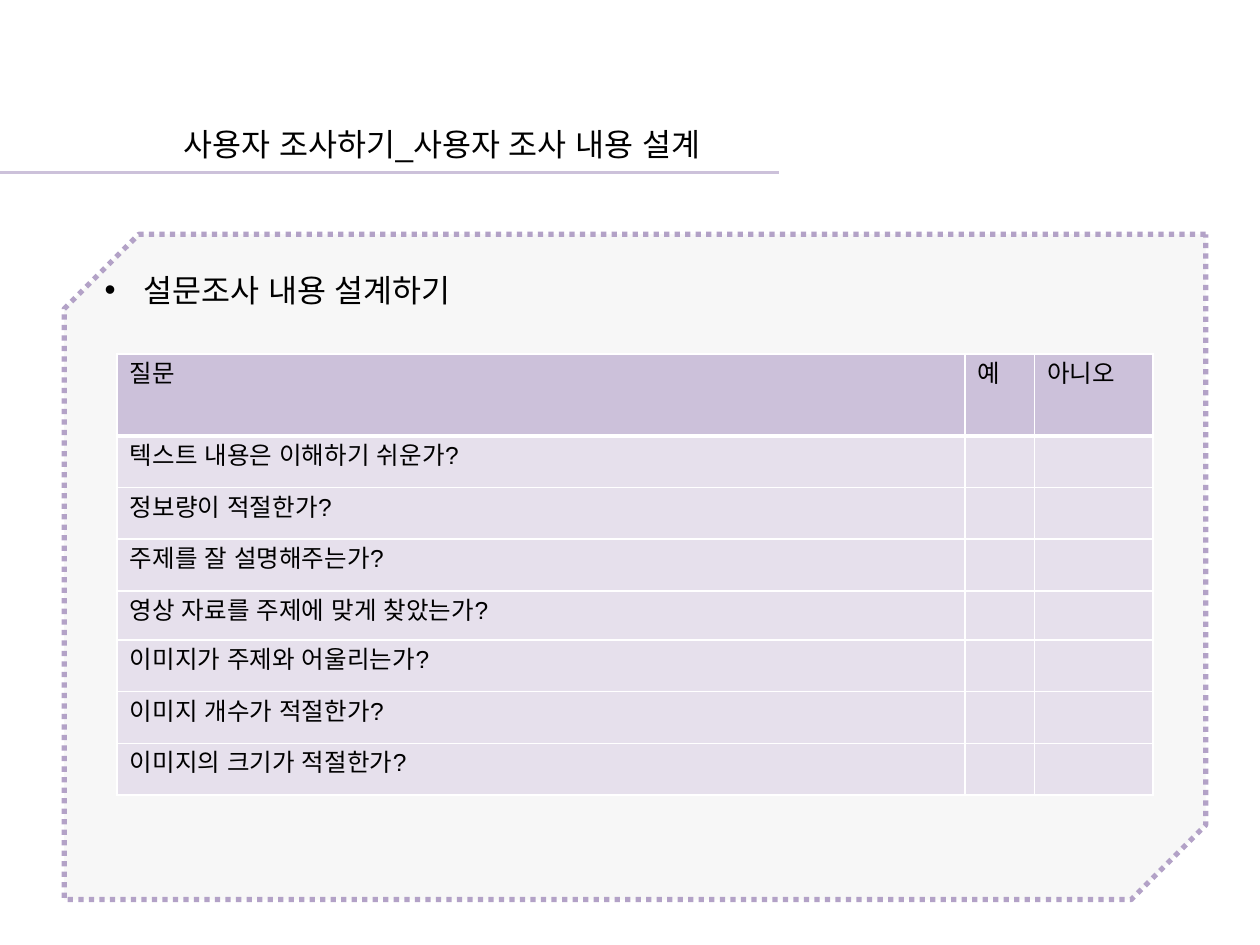
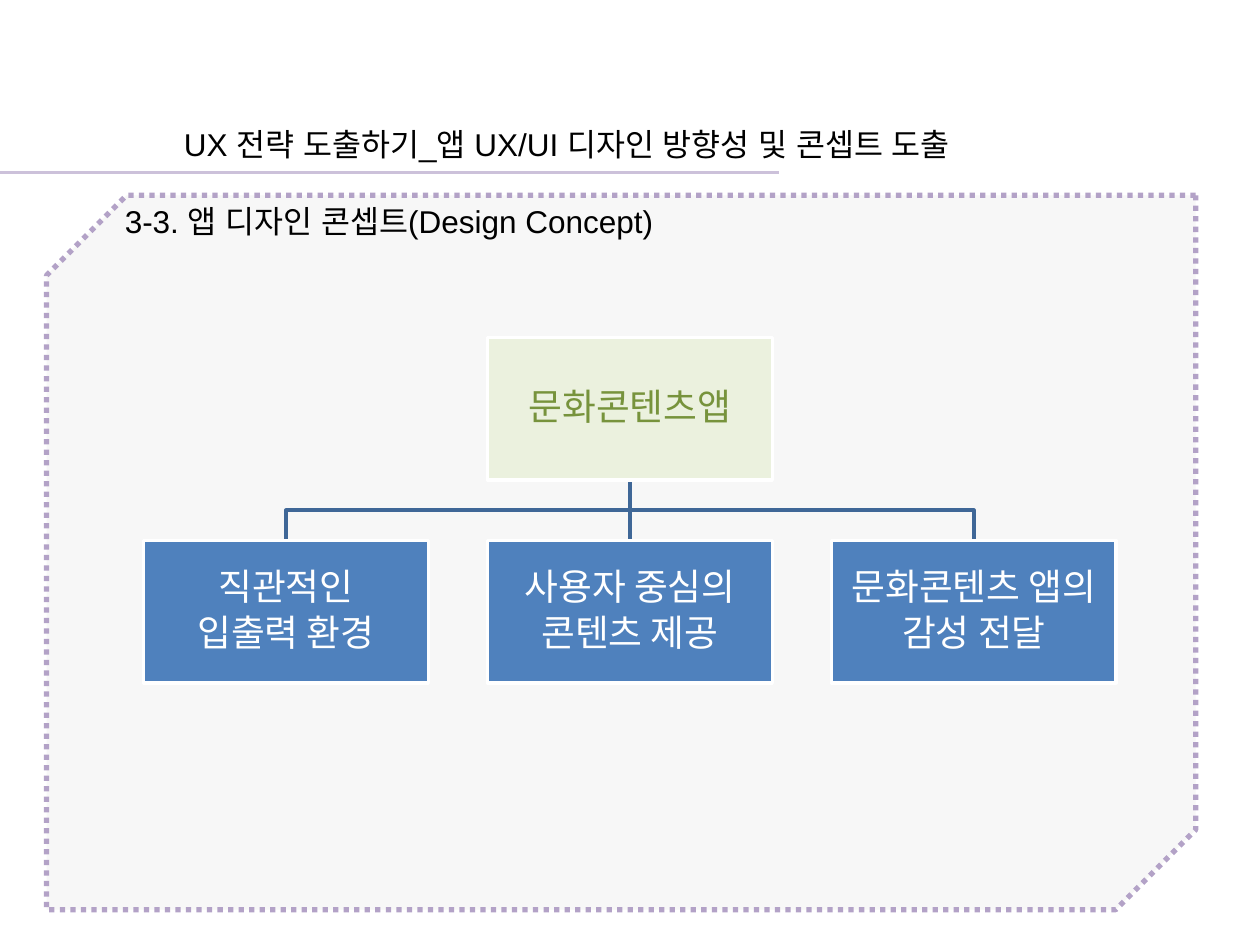
import pptx
import pptx.util
import pptx.dml.color
import pptx.enum.dml
import pptx.enum.shapes
import pptx.enum.text
import pptx.oxml
import pptx.oxml.ns
import lxml.etree

RGBColor = pptx.dml.color.RGBColor
BLACK = RGBColor(0x00, 0x00, 0x00)
WHITE = RGBColor(0xFF, 0xFF, 0xFF)
LILAC = RGBColor(0xCC, 0xC1, 0xDA)
PALE_LILAC = RGBColor(0xE6, 0xE0, 0xEC)
PURPLE = RGBColor(0xB3, 0xA2, 0xC7)
PANEL_GREY = RGBColor(0xF2, 0xF2, 0xF2)
BLUE = RGBColor(0x4F, 0x81, 0xBD)
BRANCH_BLUE = RGBColor(0x3F, 0x67, 0x97)
PALE_GREEN = RGBColor(0xEB, 0xF1, 0xDE)
GREEN = RGBColor(0x77, 0x93, 0x3C)
LATIN_FONT = "Arial"
KOREAN_FONT = "Noto Sans CJK KR"
EMU_PER_PX = 9144
ALIGN = pptx.enum.text.PP_ALIGN
ANCHOR = pptx.enum.text.MSO_ANCHOR
SHAPE = pptx.enum.shapes.MSO_SHAPE
STRAIGHT = pptx.enum.shapes.MSO_CONNECTOR.STRAIGHT
qn = pptx.oxml.ns.qn


def emu(*pixels):
    return [pptx.util.Emu(px * EMU_PER_PX) for px in pixels]


def write(frame, text, size=18, font=LATIN_FONT, color=BLACK, align=ALIGN.LEFT,
          anchor=ANCHOR.TOP, wrap=True, bullet=None, indent=0, line_spacing=1, after=0):
    frame.auto_size = pptx.enum.text.MSO_AUTO_SIZE.NONE
    frame.word_wrap = wrap
    frame.vertical_anchor = anchor
    for index, line in enumerate(text.split("\n")):
        paragraph = frame.add_paragraph() if index else frame.paragraphs[0]
        properties = paragraph._p.get_or_add_pPr()
        properties.set("marL", str(indent * EMU_PER_PX))
        properties.set("indent", str(-indent * EMU_PER_PX))
        if bullet:
            lxml.etree.SubElement(properties, qn("a:buChar")).set("char", bullet)
        else:
            lxml.etree.SubElement(properties, qn("a:buNone"))
        paragraph.alignment = align
        paragraph.line_spacing = line_spacing
        paragraph.space_before = pptx.util.Pt(0)
        paragraph.space_after = pptx.util.Pt(after)
        run = paragraph.add_run()
        run.text = line
        run.font.size = pptx.util.Pt(size)
        run.font.name = font
        run.font.color.rgb = color
        east_asian = lxml.etree.SubElement(run._r.get_or_add_rPr(), qn("a:ea"))
        east_asian.set("typeface", font)


deck = pptx.Presentation()
deck.slide_width, deck.slide_height = emu(1000, 750)

pages = [
    ("사용자 조사하기_사용자 조사 내용 설계", 471, (51, 186, 906, 528),
     "설문조사 내용 설계하기", (73, 210, 876, 60), {"bullet": "•", "indent": 31}),
    ("UX 전략 도출하기_앱 UX/UI 디자인 방향성 및 콘셉트 도출", 683, (37, 155, 912, 567),
     "3-3. 앱 디자인 콘셉트(Design Concept)", (89, 155, 876, 40), {}),
]
slides = []
for title, title_width, panel_box, heading, heading_box, heading_format in pages:
    slide = deck.slides.add_slide(deck.slide_layouts[1])
    slides.append(slide)
    title_holder, heading_holder = slide.placeholders
    for holder, place in ((title_holder, (136, 94, title_width, 40)),
                          (heading_holder, heading_box)):
        holder.left, holder.top, holder.width, holder.height = emu(*place)
    write(title_holder.text_frame, title, wrap=False)
    write(heading_holder.text_frame, heading, **heading_format)

    panel = slide.shapes.add_shape(SHAPE.SNIP_2_DIAG_RECTANGLE, *emu(*panel_box))
    panel.adjustments[0] = 0
    panel.adjustments[1] = 0.112
    panel.shadow.inherit = False
    panel._element.spPr.find(qn("a:xfrm")).set("flipH", "1")
    panel.fill.solid()
    panel.fill.fore_color.rgb = PANEL_GREY
    grey = panel._element.spPr.find(qn("a:solidFill"))[0]
    lxml.etree.SubElement(grey, qn("a:alpha")).set("val", "60000")
    panel.line.color.rgb = PURPLE
    panel.line.width = pptx.util.Pt(3)
    panel.line.dash_style = pptx.enum.dml.MSO_LINE.ROUND_DOT
    slide.shapes._spTree.insert(2, panel._element)

    title_rule = slide.shapes.add_connector(STRAIGHT, *emu(0, 137, 618, 137))
    title_rule.line.color.rgb = LILAC
    title_rule.line.width = pptx.util.Pt(1.5)
    lxml.etree.SubElement(title_rule._element.spPr, qn("a:effectLst"))

survey_slide, concept_slide = slides

survey_rows = [
    ("질문", "예", "아니오"),
    ("텍스트 내용은 이해하기 쉬운가?", "", ""),
    ("정보량이 적절한가?", "", ""),
    ("주제를 잘 설명해주는가?", "", ""),
    ("영상 자료를 주제에 맞게 찾았는가?", "", ""),
    ("이미지가 주제와 어울리는가?", "", ""),
    ("이미지 개수가 적절한가?", "", ""),
    ("이미지의 크기가 적절한가?", "", ""),
]
survey = survey_slide.shapes.add_table(len(survey_rows), 3, *emu(93, 281, 822, 352)).table
survey.first_row = False
survey.horz_banding = False
for column, width in zip(survey.columns, emu(673, 55, 94)):
    column.width = width
for row, height in zip(survey.rows, emu(65, 41, 41, 41, 39, 41, 41, 41)):
    row.height = height
for row_index, answers in enumerate(survey_rows):
    for column_index, answer in enumerate(answers):
        cell = survey.cell(row_index, column_index)
        write(cell.text_frame, answer, size=14)
        cell_properties = cell._tc.get_or_add_tcPr()
        for side in "LRTB":
            border_width = 3 if row_index == 0 and side == "B" else 1
            border = lxml.etree.SubElement(cell_properties, qn("a:ln" + side))
            border.set("w", str(pptx.util.Pt(border_width)))
            border_fill = lxml.etree.SubElement(border, qn("a:solidFill"))
            lxml.etree.SubElement(border_fill, qn("a:srgbClr")).set("val", str(WHITE))
        cell.fill.solid()
        cell.fill.fore_color.rgb = PALE_LILAC if row_index else LILAC

card_width, card_height, card_step = 226, 113, 273
root_left, root_top, branch_top = 387, 268, 429
center, root_bottom = root_left + card_width // 2, root_top + card_height
bus_y = (root_bottom + branch_top) // 2

trunk = concept_slide.shapes.add_connector(
    STRAIGHT, *emu(center, root_bottom, center, branch_top))
lxml.etree.SubElement(trunk._element.spPr, qn("a:effectLst"))
branches = [trunk]
for branch_x in (center - card_step, center + card_step):
    outline = concept_slide.shapes.build_freeform(center, root_bottom, scale=EMU_PER_PX)
    outline.add_line_segments(
        [(center, bus_y), (branch_x, bus_y), (branch_x, branch_top)], close=False)
    elbow = outline.convert_to_shape()
    elbow.fill.background()
    elbow.shadow.inherit = False
    branches.append(elbow)
for branch in branches:
    branch.line.color.rgb = BRANCH_BLUE
    branch.line.width = pptx.util.Pt(2)

concepts = ["직관적인\n입출력 환경", "사용자 중심의\n콘텐츠 제공", "문화콘텐츠 앱의\n감성 전달"]
cards = [("문화콘텐츠앱", root_left, root_top, PALE_GREEN, GREEN)]
for index, concept in enumerate(concepts):
    cards.append((concept, root_left + (index - 1) * card_step, branch_top, BLUE, WHITE))
for label, left, top, fill, color in cards:
    card = concept_slide.shapes.add_shape(
        SHAPE.RECTANGLE, *emu(left, top, card_width, card_height))
    card.shadow.inherit = False
    card.fill.solid()
    card.fill.fore_color.rgb = fill
    card.line.color.rgb = WHITE
    card.line.width = pptx.util.Pt(2)
    frame = card.text_frame
    frame.margin_left, frame.margin_top, frame.margin_right, frame.margin_bottom = emu(1, 1, 1, 1)
    write(frame, label, size=21, font=KOREAN_FONT, color=color, align=ALIGN.CENTER,
          anchor=ANCHOR.MIDDLE, line_spacing=0.9, after=3.5)

deck.save("out.pptx")
